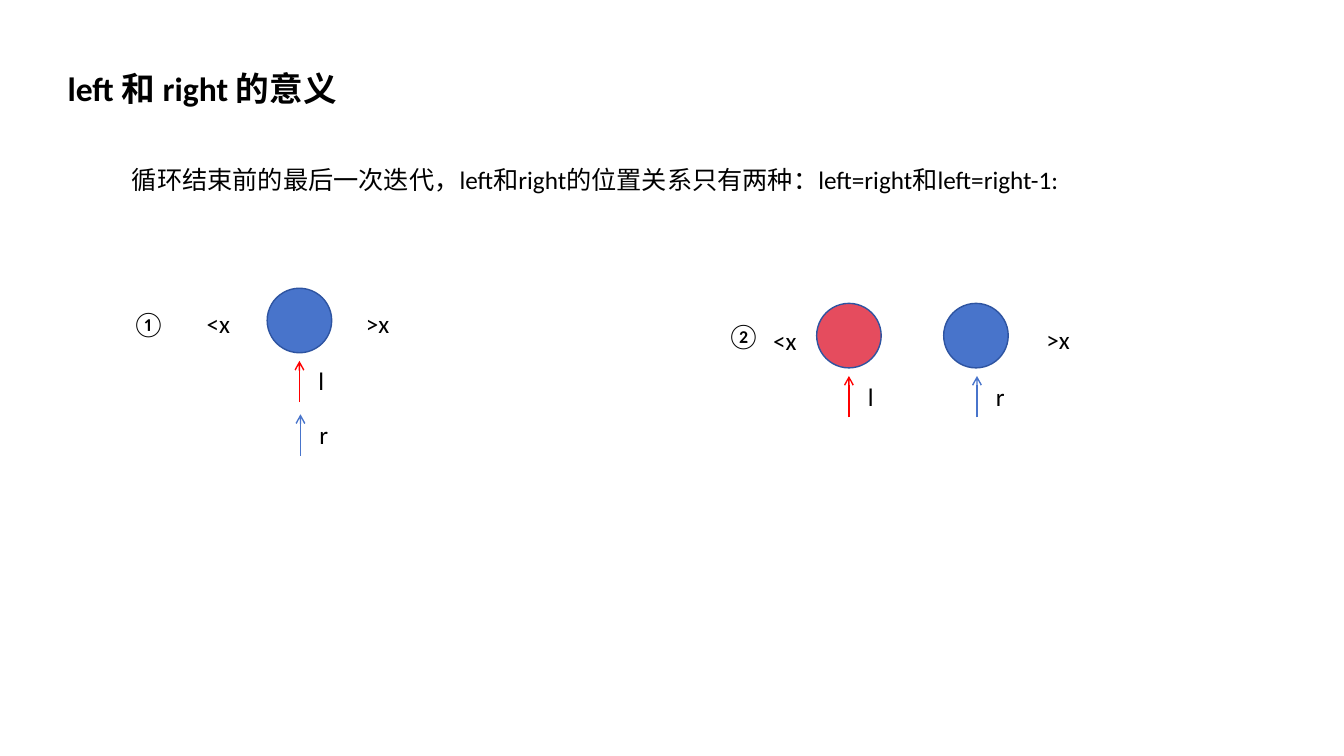
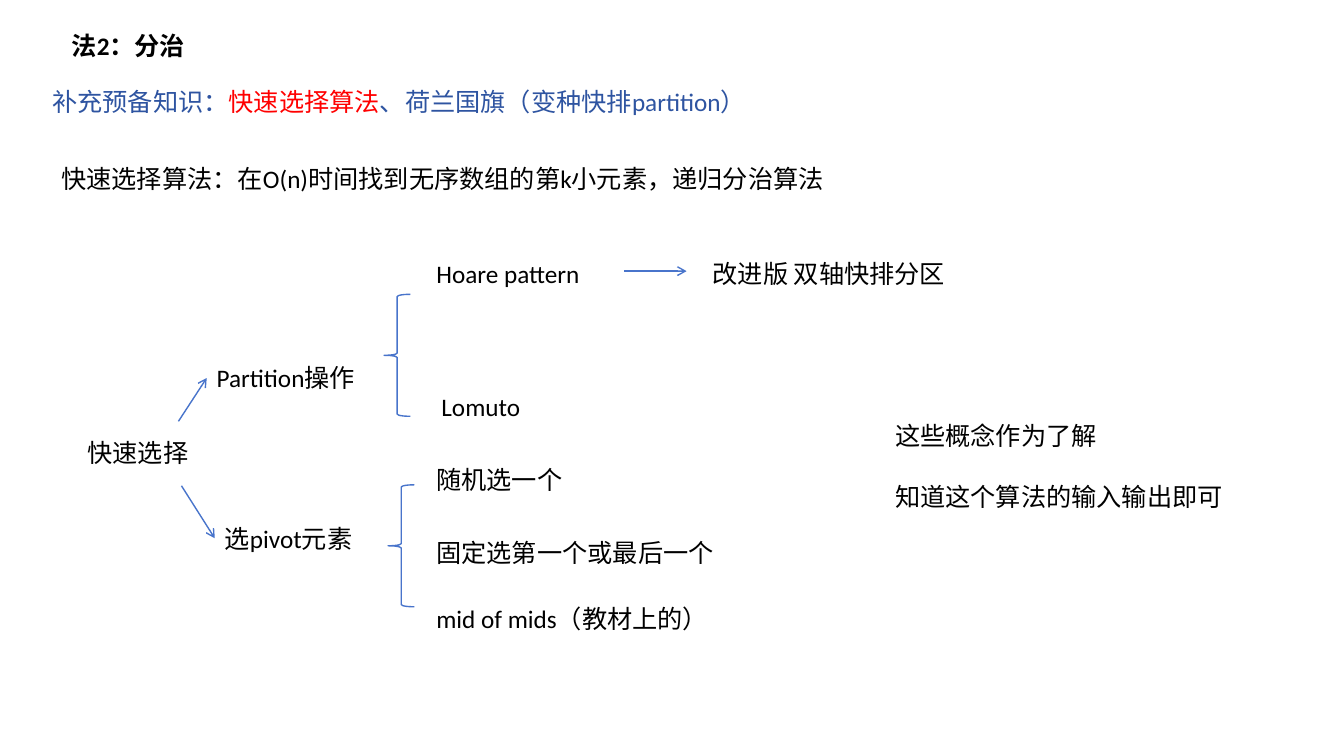
from pptx import Presentation
from pptx.dml.color import RGBColor
from pptx.enum.shapes import MSO_CONNECTOR, MSO_SHAPE
from pptx.enum.text import MSO_ANCHOR, MSO_AUTO_SIZE, PP_ALIGN
from pptx.oxml.xmlchemy import OxmlElement
from pptx.util import Pt

PX = 9144
FONT = "Calibri"
COLORS = {"black": "000000", "blue": "4874CB", "navy": "2E54A1", "red": "FF0000", "rose": "E54C5E"}


class Deck:
    """Holds the shared style and the slide being drawn; 100 px make an inch."""

    def __init__(self):
        self.prs = Presentation()
        self.prs.slide_width, self.prs.slide_height = 1333 * PX, 750 * PX
        self.s = None

    def color(self, name):
        return RGBColor.from_string(COLORS[name])

    def style(self, r, size=18, color="black", bold=False):
        r.font.name, r.font.size, r.font.bold = FONT, Pt(size), bold
        r.font.color.rgb = self.color(color)

    def outline(self, line, color):
        line.color.rgb = self.color(color)
        line.width = Pt(1)

    def slide(self, title, x, y, w, h, size):
        self.s = self.prs.slides.add_slide(self.prs.slide_layouts[5])
        sp = self.s.shapes.title
        sp.left, sp.top, sp.width, sp.height = (v * PX for v in (x, y, w, h))
        tf = sp.text_frame
        tf.text = title
        tf.auto_size, tf.vertical_anchor = MSO_AUTO_SIZE.NONE, MSO_ANCHOR.TOP
        p = tf.paragraphs[0]
        p.alignment = PP_ALIGN.LEFT
        self.style(p.runs[0], size, bold=True)

    def text(self, x, y, w, *paragraphs, h=40, gap=0):
        sp = self.s.shapes.add_textbox(x * PX, y * PX, w * PX, h * PX)
        tf = sp.text_frame
        tf.word_wrap = True
        tf.text = "\n".join(paragraphs)
        for i, p in enumerate(tf.paragraphs):
            if i:
                p.space_before = Pt(gap)
            for r in p.runs:
                self.style(r)

    def rich_text(self, x, y, w, parts):
        sp = self.s.shapes.add_textbox(x * PX, y * PX, w * PX, 40 * PX)
        tf = sp.text_frame
        tf.word_wrap = True
        for text, color in parts:
            r = tf.paragraphs[0].add_run()
            r.text = text
            self.style(r, color=color)

    def shape(self, kind, x, y, w, h, line, fill=None):
        sp = self.s.shapes.add_shape(kind, x * PX, y * PX, w * PX, h * PX)
        sp.shadow.inherit = False
        if fill:
            sp.fill.solid()
            sp.fill.fore_color.rgb = self.color(fill)
        else:
            sp.fill.background()
        self.outline(sp.line, line)

    def circle(self, x, y, fill):
        self.shape(MSO_SHAPE.OVAL, x, y, 64, 64, "navy", fill)

    def brace(self, x, y):
        self.shape(MSO_SHAPE.LEFT_BRACE, x, y, 26, 121, "blue")

    def arrow(self, x1, y1, x2, y2, color="blue"):
        c = self.s.shapes.add_connector(MSO_CONNECTOR.STRAIGHT, x1 * PX, y1 * PX, x2 * PX, y2 * PX)
        self.outline(c.line, color)
        tail = OxmlElement("a:tailEnd")
        tail.set("type", "arrow")
        c.line._get_or_add_ln().append(tail)
        c._element.spPr.append(OxmlElement("a:effectLst"))

    def pointer(self, x, y, label, color):
        self.arrow(x, y + 41, x, y, color)
        self.text(x + 9, y, 23, label)

    def save(self):
        self.prs.save("out.pptx")


def meaning_slide(d):
    d.slide("left 和 right 的意义", 57, 62, 444, 50, 24)
    d.text(121, 158, 1063, "循环结束前的最后一次迭代，left和right的位置关系只有两种：left=right和left=right-1:")
    for x, y, fill in ((265, 286, "blue"), (810, 301, "rose"), (936, 301, "blue")):
        d.circle(x, y, fill)
    for x, y, label, color in ((297, 358, "l", "red"), (298, 411, "r", "blue"),
                               (842, 373, "l", "red"), (969, 373, "r", "blue")):
        d.pointer(x, y, label, color)
    for x, y, number in ((121, 301, "①"), (711, 313, "②")):
        d.text(x, y, 45, number)
    for x, y, label in ((195, 301, "<x"), (353, 301, ">x"), (757, 318, "<x"), (1028, 317, ">x")):
        d.text(x, y, 51, label)


def divide_slide(d):
    d.slide("法2：分治", 61, 25, 667, 40, 18)
    d.rich_text(42, 81, 908, (("补充预备知识：", "navy"), ("快速选择算法", "red"),
                              ("、荷兰国旗（变种快排partition）", "navy")))
    for x, y, w, label in (
        (51, 157, 899, "快速选择算法：在O(n)时间找到无序数组的第k小元素，递归分治算法"),
        (77, 429, 128, "快速选择"),
        (205, 355, 172, "Partition操作"),
        (213, 514, 172, "选pivot元素"),
        (423, 251, 444, "Hoare pattern"),
        (428, 383, 133, "Lomuto"),
        (423, 456, 444, "随机选一个"),
        (423, 528, 444, "固定选第一个或最后一个"),
        (423, 594, 444, "mid of mids（教材上的）"),
        (697, 251, 253, "改进版 双轴快排分区"),
    ):
        d.text(x, y, w, label)
    for ends in ((177, 418, 205, 375), (180, 482, 213, 534), (619, 269, 681, 269)):
        d.arrow(*ends)
    d.brace(381, 292)
    d.brace(385, 481)
    d.text(878, 412, 377, "这些概念作为了解", "知道这个算法的输入输出即可", h=101, gap=22)


def main():
    d = Deck()
    meaning_slide(d)
    divide_slide(d)
    d.save()


if __name__ == "__main__":
    main()
